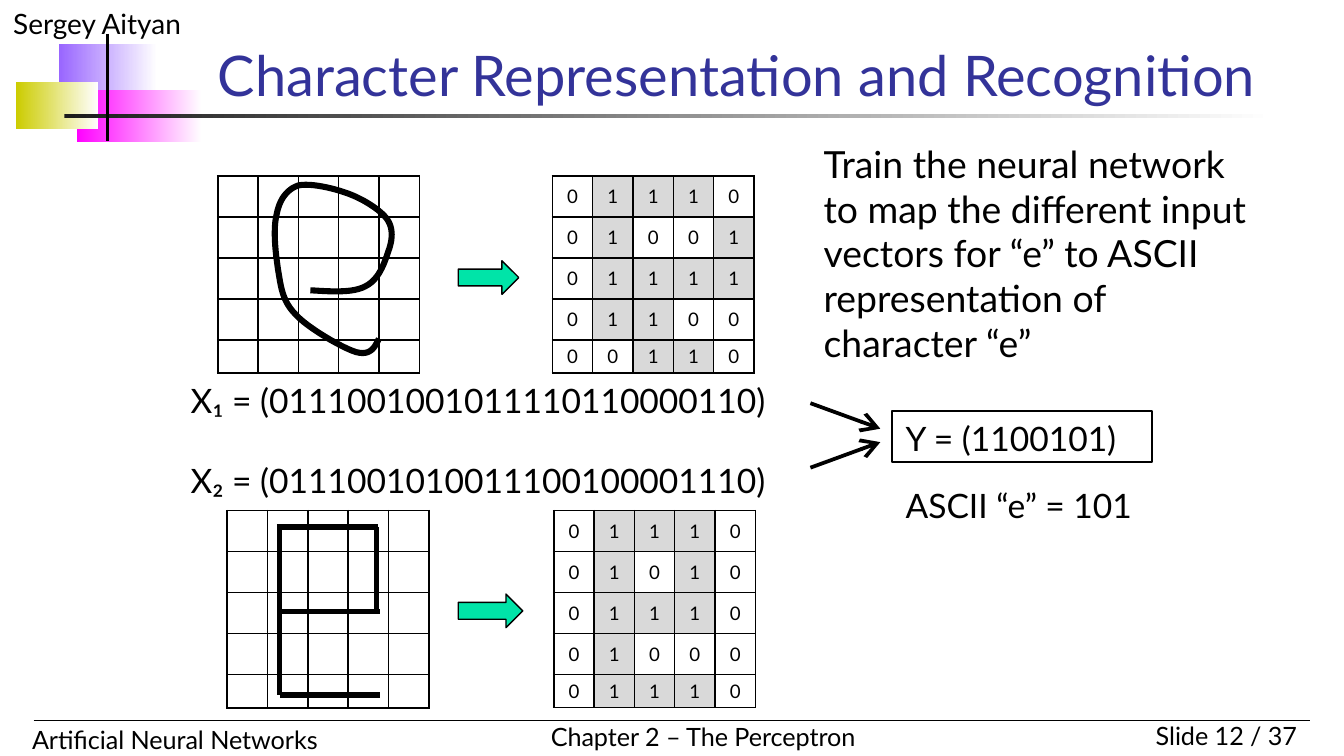
from dataclasses import dataclass

from lxml.etree import SubElement
from pptx import Presentation
from pptx.dml.color import RGBColor as RGB
from pptx.enum.shapes import MSO_CONNECTOR as CONN, MSO_SHAPE as SHAPE
from pptx.enum.text import MSO_ANCHOR as ANCHOR, PP_ALIGN as ALIGN
from pptx.oxml.ns import qn
from pptx.util import Inches, Pt

COLORS = {
    "ink": "000000", "title": "333399", "paper": "FFFFFF", "cell": "D9D9D9",
    "arrow": "00E4A8", "violet": "9966FF", "pink": "FF00FF",
    "olive": "CCCC00", "rule": "1C1C1C",
}
FONT = "Lato"
CELLS = 5
CELL_W = 0.3
GRID_H, LAST_ROW_H = 1.46, 0.24
CURVE_STEPS = 12


@dataclass
class Band:
    box: tuple
    color: str


@dataclass
class Label:
    box: tuple
    lines: tuple
    size: float
    align: ALIGN = ALIGN.LEFT
    wrap: bool = True
    gap: float = 0


@dataclass
class Grid:
    left: float
    top: float
    bits: str = ""


@dataclass
class Line:
    start: tuple
    end: tuple
    width: float
    head: bool = False


BANDS = [
    Band((0.44, 0.33, 0.73, 0.39), "violet"),
    Band((0.57, 0.67, 0.93, 0.39), "pink"),
    Band((0.12, 0.61, 0.61, 0.35), "olive"),
    Band((0.48, 0.85, 9, 0.03), "rule"),
]
LABELS = [
    Label((0, 0, 2.5, 0.35), ("Sergey Aityan",), 15),
    Label((8.25, 5.31, 1.5, 0.33), ("Slide 12 / 37",), 13.5, ALIGN.RIGHT),
    Label((0.14, 5.34, 3.7, 0.33), ("Artificial Neural Networks",), 13.5),
    Label((4, 5.32, 2.52, 0.33), ("Chapter 2 – The Perceptron",), 13.5, wrap=False),
    Label((6.03, 1, 3.47, 1.78), (
        "Train the neural network to map the different input vectors "
        "for “e” to ASCII representation of character “e”",), 20),
    Label((6.64, 3.56, 2.24, 0.4), ("ASCII “e” = 101",), 18),
    Label((1.32, 2.78, 4.5, 1.01), (
        "X₁ = (0111001001011110110000110)",
        "X₂ = (0111001010011100100001110)"), 18, gap=21),
]
GRIDS = [
    Grid(1.62, 1.31),
    Grid(4.11, 1.31, "0111001001011110110000110"),
    Grid(1.69, 3.8),
    Grid(4.12, 3.8, "0111001010011100100001110"),
]
LINES = [
    Line((0.25, 5.36), (9.75, 5.36), 0.75),
    Line((0.8, 0.25), (0.8, 1.05), 2),
    Line((2.08, 3.92), (2.08, 5.17), 3),
    Line((2.06, 3.92), (2.81, 3.92), 3),
    Line((2.08, 4.55), (2.83, 4.55), 3),
    Line((2.08, 5.17), (2.83, 5.17), 3),
    Line((2.8, 3.92), (2.8, 4.55), 3),
    Line((6.03, 3), (6.55, 3.19), 2, head=True),
    Line((6.03, 3.48), (6.55, 3.29), 2, head=True),
]
BLOCK_ARROWS = [(3.41, 1.94, 0.45, 0.25), (3.41, 4.42, 0.48, 0.25)]
STROKE_START = (2.31, 2.16)
STROKE_CURVES = [
    ((2.47, 2.17), (2.63, 2.18), (2.72, 2.13)),
    ((2.82, 2.08), (2.86, 1.96), (2.89, 1.87)),
    ((2.92, 1.79), (2.93, 1.7), (2.88, 1.63)),
    ((2.83, 1.56), (2.7, 1.48), (2.59, 1.44)),
    ((2.48, 1.4), (2.31, 1.36), (2.22, 1.38)),
    ((2.13, 1.41), (2.08, 1.49), (2.06, 1.59)),
    ((2.03, 1.7), (2.05, 1.88), (2.07, 2.01)),
    ((2.09, 2.13), (2.1, 2.24), (2.2, 2.34)),
    ((2.29, 2.44), (2.55, 2.59), (2.65, 2.62)),
    ((2.76, 2.65), (2.79, 2.58), (2.82, 2.52)),
]


def rgb(name: str) -> RGB:
    return RGB.from_string(COLORS[name])


def inches(box: tuple) -> list:
    return [Inches(v) for v in box]


def write(p, text: str, *, size: float, color: str = "ink",
          align: ALIGN = ALIGN.LEFT, before: float = 0) -> None:
    p.alignment = align
    p.space_before = Pt(before)
    r = p.add_run()
    r.text = text
    r.font.name, r.font.size = FONT, Pt(size)
    r.font.color.rgb = rgb(color)


def outline(sp, width: float) -> None:
    sp.line.color.rgb = rgb("ink")
    sp.line.width = Pt(width)


def add_box(slide, kind: SHAPE, box: tuple):
    sp = slide.shapes.add_shape(kind, *inches(box))
    sp.shadow.inherit = False
    return sp


def add_band(slide, band: Band) -> None:
    sp = add_box(slide, SHAPE.RECTANGLE, band.box)
    sp.line.fill.background()
    sp.fill.gradient()
    sp.fill.gradient_angle = 0
    for stop, color in zip(sp.fill.gradient_stops, (band.color, "paper")):
        stop.color.rgb = rgb(color)


def add_label(slide, label: Label) -> None:
    tf = slide.shapes.add_textbox(*inches(label.box)).text_frame
    tf.word_wrap = label.wrap
    for i, text in enumerate(label.lines):
        p = tf.add_paragraph() if i else tf.paragraphs[0]
        write(p, text, size=label.size, align=label.align,
              before=label.gap if i else 0)


def add_borders(cell) -> None:
    tc_pr = cell._tc.get_or_add_tcPr()
    for side in ("lnL", "lnR", "lnT", "lnB"):
        ln = SubElement(tc_pr, qn(f"a:{side}"), w=str(Pt(1)))
        fill = SubElement(ln, qn("a:solidFill"))
        SubElement(fill, qn("a:srgbClr"), val=COLORS["ink"])


def add_grid(slide, grid: Grid) -> None:
    box = (grid.left, grid.top, CELLS * CELL_W, GRID_H)
    table = slide.shapes.add_table(CELLS, CELLS, *inches(box)).table
    table.first_row = table.horz_banding = False
    for i in range(CELLS):
        table.columns[i].width = Inches(CELL_W)
        last = i == CELLS - 1
        table.rows[i].height = Inches(
            LAST_ROW_H if last else (GRID_H - LAST_ROW_H) / (CELLS - 1))
    for i, cell in enumerate(table.iter_cells()):
        bit = grid.bits[i:i + 1]
        cell.vertical_anchor = ANCHOR.MIDDLE
        cell.margin_left = cell.margin_right = Inches(0.07)
        cell.margin_top = cell.margin_bottom = Inches(0.04)
        add_borders(cell)
        if bit == "1":
            cell.fill.solid()
            cell.fill.fore_color.rgb = rgb("cell")
        else:
            cell.fill.background()
        p = cell.text_frame.paragraphs[0]
        if bit:
            write(p, bit, size=10, align=ALIGN.CENTER)
        else:
            SubElement(p._p, qn("a:endParaRPr"), sz="1000")


def add_line(slide, line: Line) -> None:
    cxn = slide.shapes.add_connector(
        CONN.STRAIGHT, *inches(line.start + line.end))
    outline(cxn, line.width)
    if line.head:
        SubElement(cxn.line._get_or_add_ln(), qn("a:tailEnd"),
                   type="arrow", w="lg", len="lg")
    SubElement(cxn._element.spPr, qn("a:effectLst"))


def bezier(points: tuple, t: float) -> tuple:
    u = 1 - t
    weights = (u ** 3, 3 * u * u * t, 3 * u * t * t, t ** 3)
    return tuple(sum(w * v for w, v in zip(weights, axis)) for axis in zip(*points))


def add_stroke(slide) -> None:
    start, points = STROKE_START, []
    for curve in STROKE_CURVES:
        points += [bezier((start, *curve), k / CURVE_STEPS)
                   for k in range(1, CURVE_STEPS + 1)]
        start = curve[-1]
    fb = slide.shapes.build_freeform(*inches(STROKE_START))
    fb.add_line_segments([inches(pt) for pt in points], close=False)
    sp = fb.convert_to_shape()
    sp.shadow.inherit = False
    sp.fill.background()
    outline(sp, 3.25)


def main() -> None:
    prs = Presentation()
    prs.slide_width = Inches(10)
    prs.slide_height = prs.slide_width * 9 // 16
    slide = prs.slides.add_slide(prs.slide_layouts[5])
    for band in BANDS:
        add_band(slide, band)
    title = slide.shapes.title
    title.left, title.top, title.width, title.height = inches((1.52, 0.31, 8.23, 0.54))
    title.text_frame.vertical_anchor = ANCHOR.BOTTOM
    write(title.text_frame.paragraphs[0], "Character Representation and Recognition",
          size=30, color="title")
    for grid in GRIDS:
        add_grid(slide, grid)
    add_stroke(slide)
    for box in BLOCK_ARROWS:
        sp = add_box(slide, SHAPE.RIGHT_ARROW, box)
        sp.fill.solid()
        sp.fill.fore_color.rgb = rgb("arrow")
        outline(sp, 0.75)
    target = add_box(slide, SHAPE.RECTANGLE, (6.64, 3.06, 1.93, 0.38))
    target.fill.background()
    outline(target, 1)
    target.text_frame.vertical_anchor = ANCHOR.TOP
    write(target.text_frame.paragraphs[0], "Y = (1100101)", size=18)
    for label in LABELS:
        add_label(slide, label)
    for line in LINES:
        add_line(slide, line)
    prs.save("out.pptx")


if __name__ == "__main__":
    main()
